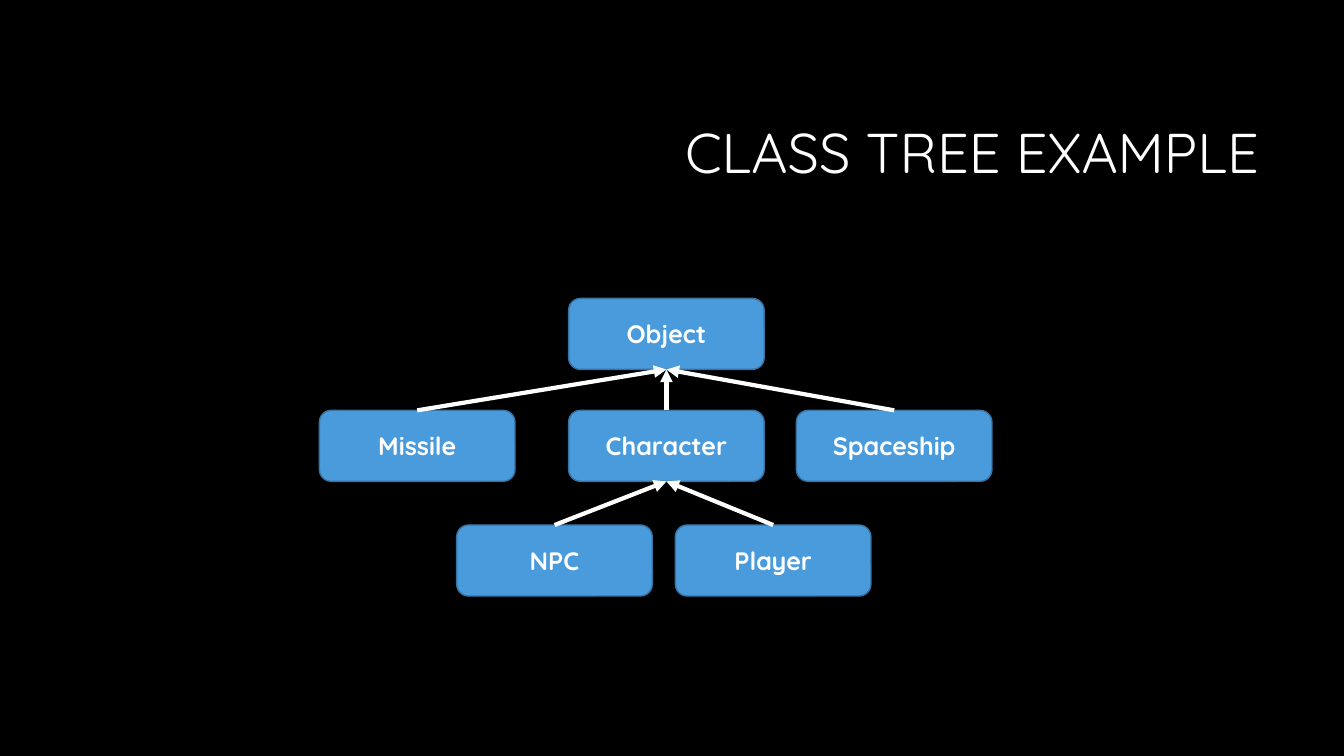
from dataclasses import dataclass

from lxml import etree
from pptx import Presentation
from pptx.dml.color import RGBColor
from pptx.enum.shapes import MSO_CONNECTOR, MSO_SHAPE
from pptx.enum.text import MSO_ANCHOR, PP_ALIGN
from pptx.oxml.ns import qn
from pptx.shapes.autoshape import Shape
from pptx.slide import Slide
from pptx.text.text import TextFrame
from pptx.util import Cm, Pt

ROUND = MSO_SHAPE.ROUNDED_RECTANGLE
STRAIGHT = MSO_CONNECTOR.STRAIGHT
MIDDLE = MSO_ANCHOR.MIDDLE
CENTER, RIGHT = PP_ALIGN.CENTER, PP_ALIGN.RIGHT

FONT = "Quicksand"
BLACK, WHITE, BLUE, EDGE = "000000", "FFFFFF", "4A9BDC", "3773A3"
BOX_W, BOX_H = 4.93, 1.79
ROWS = (7.52, 10.34, 13.23)
TOP, BOTTOM = 0, 2  # connection sites of a box


@dataclass(frozen=True)
class Node:
    name: str
    left: float
    row: int
    base: str = ""


NODES = (
    Node("Object", 14.33, 0),
    Node("Missile", 8.05, 1, "Object"),
    Node("Character", 14.33, 1, "Object"),
    Node("Spaceship", 20.07, 1, "Object"),
    Node("NPC", 11.51, 2, "Character"),
    Node("Player", 17.02, 2, "Character"),
)


def color(code: str) -> RGBColor:
    return RGBColor.from_string(code)


def write(frame: TextFrame, text: str, size: int, align: PP_ALIGN, bold: bool) -> None:
    frame.word_wrap = True
    frame.vertical_anchor = MIDDLE
    para = frame.paragraphs[0]
    para.alignment = align
    run = para.add_run()
    run.text = text
    font = run.font
    font.name, font.size, font.bold = FONT, Pt(size), bold
    font.color.rgb = color(WHITE)


def add_title(slide: Slide, text: str) -> None:
    title = slide.shapes.title
    title.left, title.top = Cm(8.05), Cm(2.13)
    title.width, title.height = Cm(23.93), Cm(3.58)
    write(title.text_frame, text, 40, RIGHT, False)
    title.text_frame.paragraphs[0].line_spacing = 0.9


def add_box(slide: Slide, node: Node) -> Shape:
    box = slide.shapes.add_shape(
        ROUND, Cm(node.left), Cm(ROWS[node.row]), Cm(BOX_W), Cm(BOX_H)
    )
    box.shadow.inherit = False
    box.fill.solid()
    box.fill.fore_color.rgb = color(BLUE)
    box.line.color.rgb = color(EDGE)
    box.line.width = Pt(1)
    write(box.text_frame, node.name, 18, CENTER, True)
    return box


def add_arrow(slide: Slide, child: Shape, base: Shape) -> None:
    arrow = slide.shapes.add_connector(STRAIGHT, 0, 0, 0, 0)
    arrow.begin_connect(child, TOP)
    arrow.end_connect(base, BOTTOM)
    arrow.line.color.rgb = color(WHITE)
    arrow.line.width = Pt(3)
    # Arrowhead at the base class, and no shadow
    etree.SubElement(arrow.line._get_or_add_ln(), qn("a:tailEnd"), type="triangle")
    etree.SubElement(arrow._element.spPr, qn("a:effectLst"))


def main() -> None:
    deck = Presentation()
    deck.slide_width, deck.slide_height = Cm(33.87), Cm(19.05)
    slide = deck.slides.add_slide(deck.slide_layouts[5])
    slide.background.fill.solid()
    slide.background.fill.fore_color.rgb = color(BLACK)

    add_title(slide, "CLASS TREE EXAMPLE")

    # Classes, then their inheritance arrows
    boxes = {node.name: add_box(slide, node) for node in NODES}
    for node in NODES:
        if node.base:
            add_arrow(slide, boxes[node.name], boxes[node.base])

    deck.save("out.pptx")


if __name__ == "__main__":
    main()
